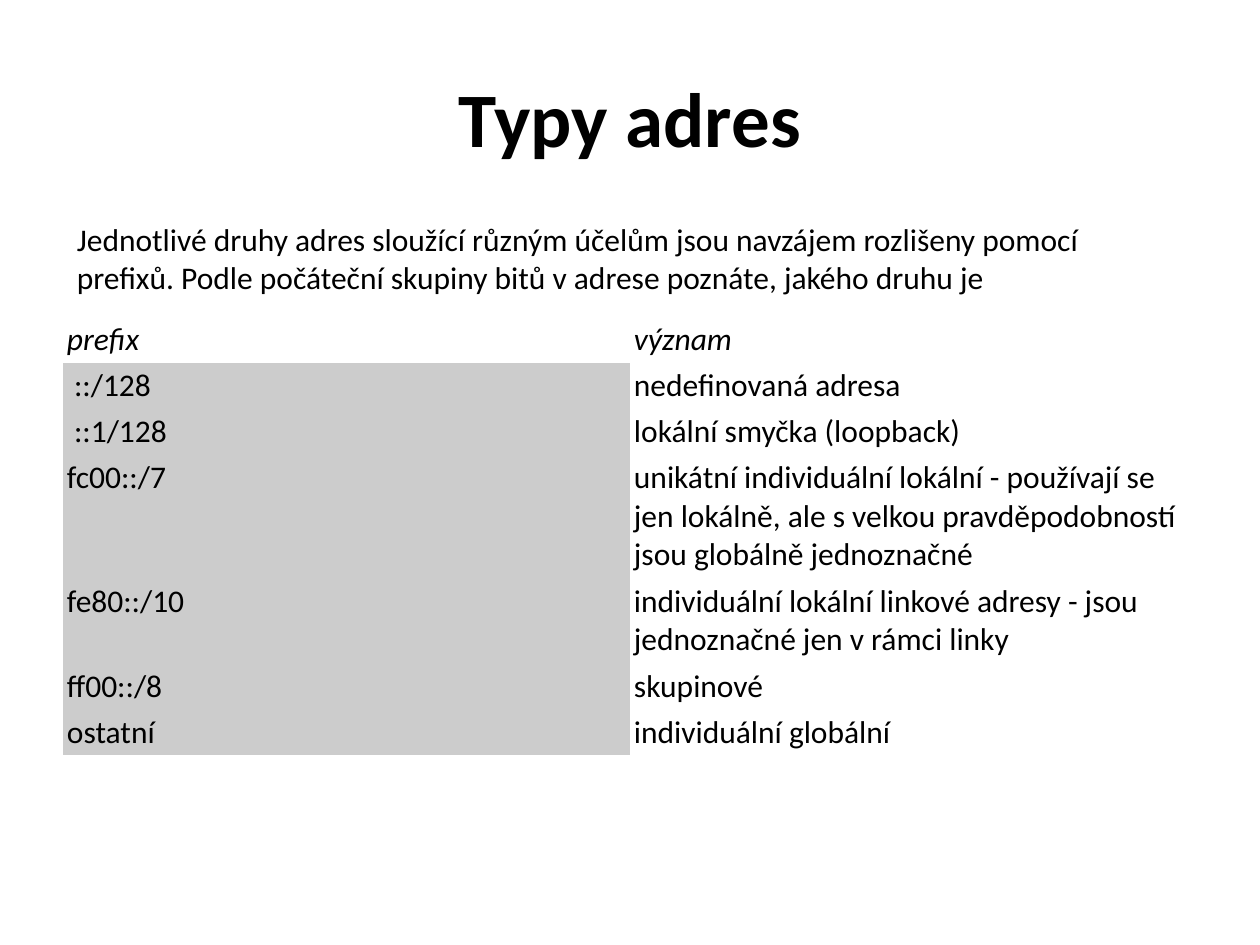
import pptx
import pptx.dml.color
import pptx.enum.text
import pptx.util

Cm = pptx.util.Cm
Pt = pptx.util.Pt
ANCHOR = pptx.enum.text.MSO_ANCHOR
ALIGN = pptx.enum.text.PP_ALIGN

BLACK = pptx.dml.color.RGBColor(0x00, 0x00, 0x00)
GREY = pptx.dml.color.RGBColor(0xCC, 0xCC, 0xCC)
FONT = "Calibri"
NO_STYLE = "{2D5ABB26-0587-4C30-8999-92F81FD0307C}"

INTRO = ("Jednotlivé druhy adres sloužící různým účelům jsou navzájem rozlišeny "
         "pomocí prefixů. Podle počáteční skupiny bitů v adrese poznáte, "
         "jakého druhu je")
# prefix, meaning, number of text lines
ROWS = [
    ("prefix", "význam", 1),
    ("\u00a0::/128", "nedefinovaná adresa", 1),
    ("\u00a0::1/128", "lokální smyčka (loopback)", 1),
    ("fc00::/7", "unikátní individuální lokální - používají se jen lokálně, ale "
     "s velkou pravděpodobností jsou globálně jednoznačné", 3),
    ("fe80::/10", "individuální lokální linkové adresy - jsou jednoznačné jen "
     "v rámci linky", 2),
    ("ff00::/8", "skupinové", 1),
    ("ostatní", "individuální globální", 1),
]


def set_text(tf, text, size=18, bold=False, italic=False, align=ALIGN.LEFT):
    """Write one formatted paragraph into a text frame."""
    tf.word_wrap = True
    tf.text = text
    p = tf.paragraphs[0]
    p.alignment = align
    font = p.runs[0].font
    font.name, font.size = FONT, Pt(size)
    font.bold, font.italic = bold, italic
    font.color.rgb = BLACK


def add_title(s, x, y, w, h):
    """Place the centred slide title in its box."""
    tf = s.shapes.add_textbox(x, y, w, h).text_frame
    set_text(tf, "Typy adres", size=44, bold=True, align=ALIGN.CENTER)
    tf.vertical_anchor = ANCHOR.MIDDLE


def add_intro(s, x, y, w, h):
    """Place the introductory paragraph in its box."""
    set_text(s.shapes.add_textbox(x, y, w, h).text_frame, INTRO)


def add_prefix_table(s, x, y, w):
    """Place the table of prefixes, with two equal columns and a grey first one."""
    heights = [Cm(0.15 + 0.78 * lines) for _, _, lines in ROWS]
    frame = s.shapes.add_table(len(ROWS), 2, x, y, w, sum(heights))
    table = frame.table
    table.first_row = table.horz_banding = False
    table._tbl.tblPr.find(pptx.oxml.ns.qn("a:tableStyleId")).text = NO_STYLE
    for i, (prefix, meaning, _) in enumerate(ROWS):
        table.rows[i].height = heights[i]
        header = i == 0
        for j, text in enumerate((prefix, meaning)):
            cell = table.cell(i, j)
            cell.margin_left = cell.margin_right = Cm(0.08)
            cell.margin_top = cell.margin_bottom = Cm(0.08)
            cell.vertical_anchor = ANCHOR.MIDDLE if header else ANCHOR.TOP
            set_text(cell.text_frame, text, italic=header)
            if j == 0 and not header:
                cell.fill.solid()
                cell.fill.fore_color.rgb = GREY
            else:
                cell.fill.background()


prs = pptx.Presentation()
prs.slide_width, prs.slide_height = Cm(25.4), Cm(19.05)
s = prs.slides.add_slide(prs.slide_layouts[6])
add_title(s, Cm(1.27), Cm(0.76), Cm(22.86), Cm(3.18))
add_prefix_table(s, Cm(1.27), Cm(6.38), Cm(22.86))
add_intro(s, Cm(1.3), Cm(4.32), Cm(22.8), Cm(1.8))
prs.save("out.pptx")
